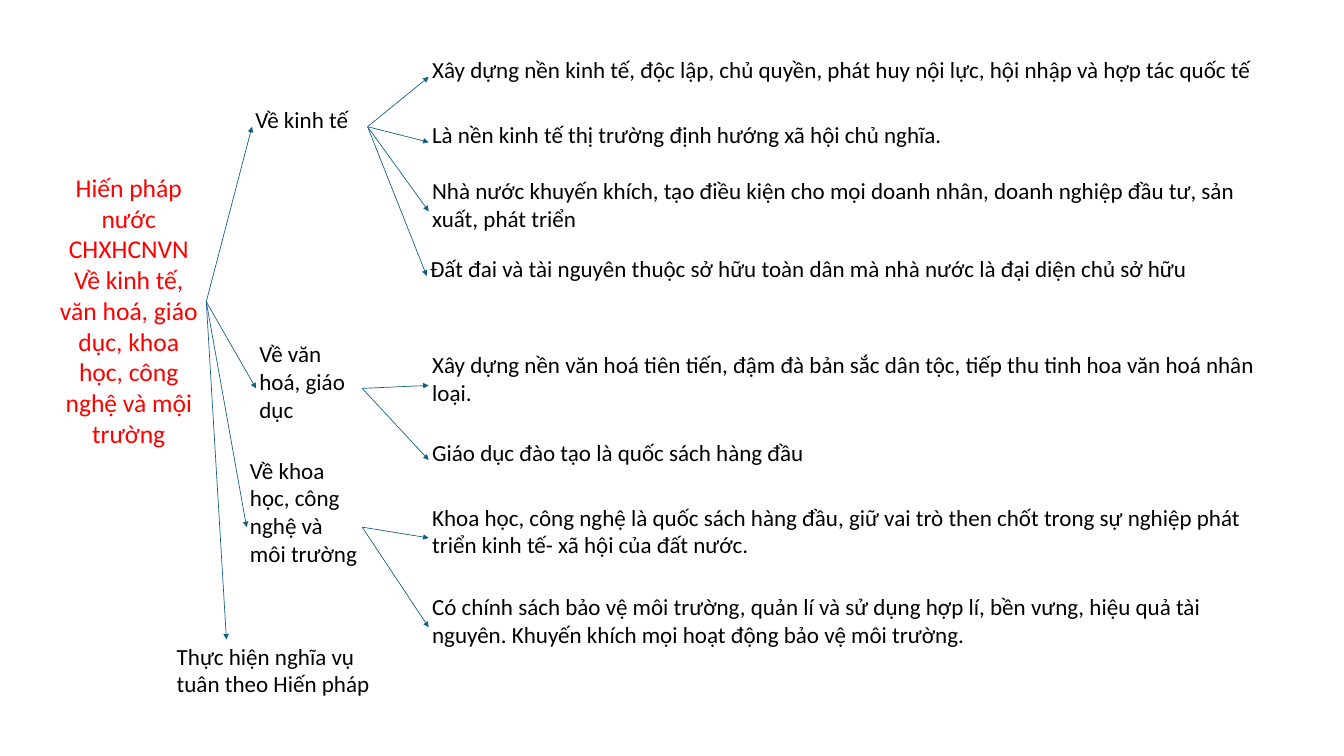
from lxml import etree
from pptx import Presentation, util as u
from pptx.dml.color import RGBColor
from pptx.enum import shapes, text
from pptx.oxml import ns

WHITE = RGBColor(0xFF, 0xFF, 0xFF)
BLACK = RGBColor(0, 0, 0)
RED = RGBColor(0xFF, 0, 0)
TEAL = RGBColor(0x15, 0x60, 0x82)

# The slide is a grid of 100 columns and 100 rows
WIDTH, HEIGHT = u.Inches(20), u.Inches(11.25)
ONE_LINE, TWO_LINES = 6.5, 10.05
LEAF_LEFT, LEAF_WIDTH = 31.9, 62.95

ROOT = ("Hiến pháp nước CHXHCNVN Về kinh tế, văn hoá, giáo dục, khoa học, "
        "công nghệ và mội trường", (3.8, 22.31, 11.55, 35.2))

# Each branch: text, (left, top, width, height), leaves
# Each leaf: text, top, height, then left and width where they differ
BRANCHES = [
    ("Về kinh tế", (18.75, 13.51, 8.6, ONE_LINE), [
        ("Xây dựng nền kinh tế, độc lập, chủ quyền, phát huy nội lực, "
         "hội nhập và hợp tác quốc tế", 6.93, ONE_LINE, LEAF_LEFT, 63.15),
        ("Là nền kinh tế thị trường định hướng xã hội chủ nghĩa.",
         15.56, ONE_LINE, LEAF_LEFT, 63.15),
        ("Nhà nước khuyến khích, tạo điều kiện cho mọi doanh nhân, "
         "doanh nghiệp đầu tư, sản xuất, phát triển", 22.93, TWO_LINES),
        ("Đất đai và tài nguyên thuộc sở hữu toàn dân mà nhà nước là "
         "đại diện chủ sở hữu", 33.24, ONE_LINE, 31.75, 63.15),
    ]),
    ("Về văn hoá, giáo dục", (19.05, 44.53, 7.9, 13.69), [
        ("Xây dựng nền văn hoá tiên tiến, đậm đà bản sắc dân tộc, "
         "tiếp thu tinh hoa văn hoá nhân loại.", 45.96, TWO_LINES),
        ("Giáo dục đào tạo là quốc sách hàng đầu", 57.6, ONE_LINE),
    ]),
    ("Về khoa học, công nghệ và môi trường", (18.35, 59.91, 8.6, 19.64), [
        ("Khoa học, công nghệ là quốc sách hàng đầu, giữ vai trò then chốt "
         "trong sự nghiệp phát triển kinh tế- xã hội của đất nước.",
         66.13, TWO_LINES),
        ("Có chính sách bảo vệ môi trường, quản lí và sử dụng hợp lí, "
         "bền vưng, hiệu quả tài nguyên. Khuyến khích mọi hoạt động "
         "bảo vệ môi trường.", 77.96, TWO_LINES),
    ]),
]
DUTY = ("Thực hiện nghĩa vụ tuân theo Hiến pháp", (12.9, 84.53, 16.5, TWO_LINES))
DUTY_ARROW_END = (16.85, 84.6)


def column(count):
    return round(WIDTH * count / 100)


def row(count):
    return round(HEIGHT * count / 100)


def left_middle(area):
    left, top, _, height = area
    return left, top + height / 2


def right_middle(area):
    left, top, width, height = area
    return left + width, top + height / 2


def add_label(page, words, area, size=24.7, leading=29.6, color=BLACK,
              align=text.PP_ALIGN.LEFT):
    left, top, width, height = area
    box = page.shapes.add_textbox(column(left), row(top), column(width), row(height))
    box.fill.solid()
    box.fill.fore_color.rgb = WHITE
    frame = box.text_frame
    frame.word_wrap = True
    frame.vertical_anchor = text.MSO_ANCHOR.TOP
    frame.margin_left = frame.margin_right = u.Inches(0.05)
    frame.margin_top = frame.margin_bottom = u.Inches(0.05)
    para = frame.paragraphs[0]
    para.alignment = align
    para.line_spacing = u.Pt(leading)
    span = para.add_run()
    span.text = words
    span.font.name = "Calibri"
    span.font.size = u.Pt(size)
    span.font.color.rgb = color


def add_arrow(page, start, end):
    arrow = page.shapes.add_connector(
        shapes.MSO_CONNECTOR.STRAIGHT,
        column(start[0]), row(start[1]), column(end[0]), row(end[1]))
    arrow.line.color.rgb = TEAL
    arrow.line.width = u.Pt(0.75)
    outline = arrow.line._get_or_add_ln()
    etree.SubElement(outline, ns.qn("a:tailEnd"), type="triangle")
    etree.SubElement(arrow._element.spPr, ns.qn("a:effectLst"))


def add_branch(page, words, area, leaves):
    """Add a branch label, its leaves; return the arrows that join them."""
    add_label(page, words, area)
    arrows = [(right_middle(ROOT[1]), left_middle(area))]
    for sentence, top, height, *place in leaves:
        left, width = place or (LEAF_LEFT, LEAF_WIDTH)
        leaf_area = (left, top, width, height)
        add_label(page, sentence, leaf_area)
        arrows.append((right_middle(area), left_middle(leaf_area)))
    return arrows


def main():
    deck = Presentation()
    deck.slide_width, deck.slide_height = WIDTH, HEIGHT
    page = deck.slides.add_slide(deck.slide_layouts[6])

    # Labels, from the root outwards
    add_label(page, *ROOT, size=27.4, leading=32.9, color=RED,
              align=text.PP_ALIGN.CENTER)
    arrows = []
    for branch in BRANCHES:
        arrows += add_branch(page, *branch)
    add_label(page, *DUTY)
    arrows.append((right_middle(ROOT[1]), DUTY_ARROW_END))

    # Arrows lie above all labels
    for start, end in arrows:
        add_arrow(page, start, end)

    deck.save("out.pptx")


if __name__ == "__main__":
    main()
